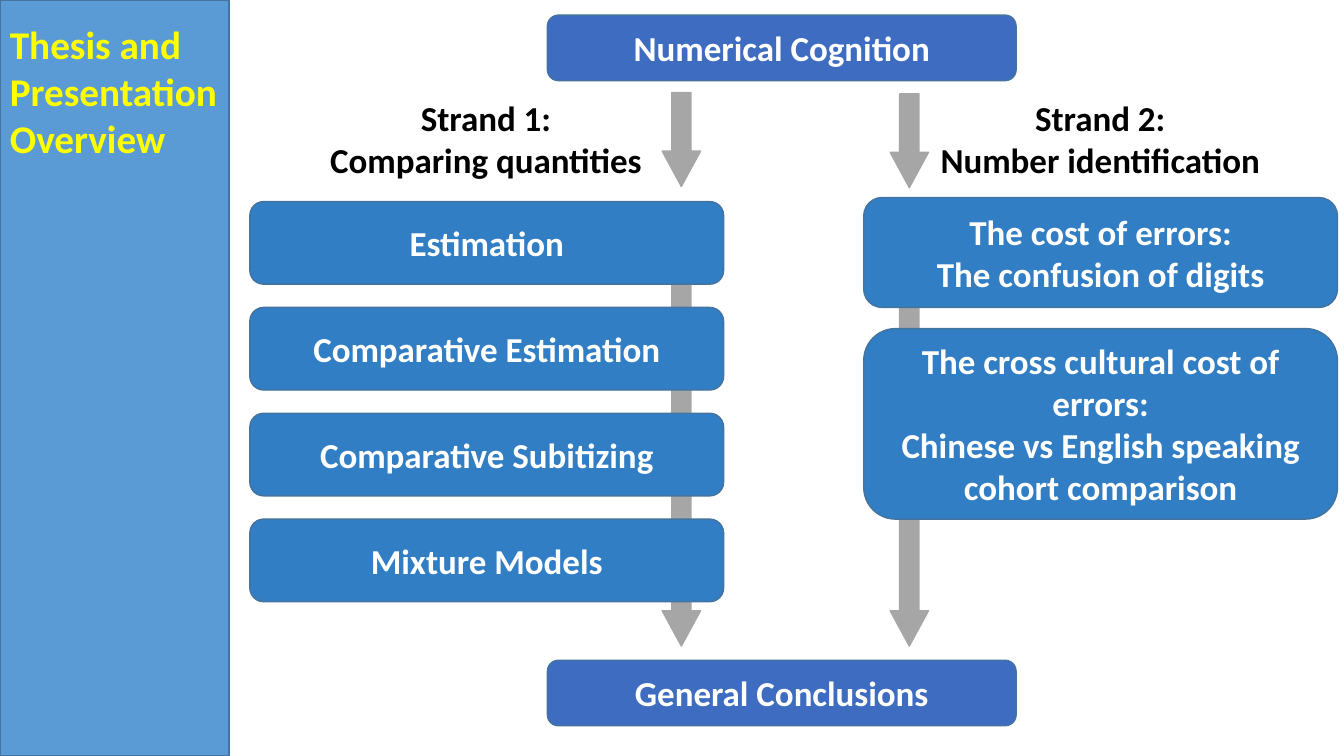
from pptx import Presentation
from pptx.dml.color import RGBColor
from pptx.enum.shapes import MSO_SHAPE as Shape
from pptx.enum.text import MSO_ANCHOR as Anchor, PP_ALIGN as Align
from pptx.util import Pt

WHITE = RGBColor(0xFF, 0xFF, 0xFF)
BLACK = RGBColor(0, 0, 0)
YELLOW = RGBColor(0xFF, 0xFF, 0)
GREY = RGBColor(0xA6, 0xA6, 0xA6)
SIDEBAR = RGBColor(0x5B, 0x9B, 0xD5)
OUTLINE = RGBColor(0x43, 0x73, 0x9E)
INDIGO = RGBColor(0x3D, 0x6C, 0xC1)
BLUE = RGBColor(0x32, 0x7E, 0xC4)

TITLE = ["Thesis and\vPresentation\vOverview"]
STRANDS = [
    (["Strand 1:", "Comparing quantities"], 225.4, 243.4),
    (["Strand 2:", "Number identification"], 663.1, 245.5),
]
ENDS = [("Numerical Cognition", 10.8), ("General Conclusions", 471.6)]
QUANTITY_TOPICS = ["Estimation", "Comparative Estimation",
                   "Comparative Subitizing", "Mixture Models"]
NUMBER_TOPICS = [
    (["The cost of errors:", "The confusion of digits"], 141.1, 78.5),
    (["The cross cultural cost of errors:",
      "Chinese vs English speaking cohort comparison"], 234.7, 136.1),
]
LONG_ARROWS = [(635.8, 156.2, 305.3), (473, 197.3, 264.2)]
SHORT_ARROWS = [(635.8, 67, 67), (473, 66.2, 67)]
ARROW_WIDTH = 27.4
TOPIC_WIDTH, TOPIC_HEIGHT, TOPIC_TOP, TOPIC_STEP = 338.4, 59, 144, 76
LEFT_COLUMN, RIGHT_COLUMN = 178.5, 617
END_LEFT, END_WIDTH, END_HEIGHT = 391, 334.8, 46.8

deck = Presentation()
deck.slide_width, deck.slide_height = Pt(960), Pt(540)
page = deck.slides.add_slide(deck.slide_layouts[6])


def write(box, lines, size, color, align):
    frame = box.text_frame
    frame.text = "\n".join(lines)
    style = {"name": "Calibri", "size": Pt(size), "bold": True}
    for para in frame.paragraphs:
        para.alignment = align
        for span in para.runs:
            for key, value in style.items():
                setattr(span.font, key, value)
            span.font.color.rgb = color


def add_block(kind, bounds, fill, line=OUTLINE, lines=()):
    block = page.shapes.add_shape(kind, *map(Pt, bounds))
    block.shadow.inherit = False
    block.fill.solid()
    block.fill.fore_color.rgb = fill
    block.line.color.rgb = line
    block.line.width = Pt(1)
    if lines:
        block.text_frame.word_wrap = True
        block.text_frame.vertical_anchor = Anchor.MIDDLE
        write(block, lines, 25, WHITE, Align.CENTER)
    return block


def add_label(lines, bounds, size, color, align):
    label = page.shapes.add_textbox(*map(Pt, bounds))
    label.text_frame.word_wrap = False
    write(label, lines, size, color, align)


def add_arrows(arrows):
    for left, top, height in arrows:
        arrow = add_block(Shape.DOWN_ARROW, (left, top, ARROW_WIDTH, height), GREY, GREY)
        arrow.adjustments[0] = 0.5
        arrow.adjustments[1] = 0.92


add_arrows(LONG_ARROWS)
add_block(Shape.RECTANGLE, (0, 0, 163.5, 540), SIDEBAR)
add_label(TITLE, (0, 10.8, 164, 143.3), 28, YELLOW, Align.LEFT)
for lines, left, width in STRANDS:
    add_label(lines, (left, 65.5, width, 67.7), 25, BLACK, Align.CENTER)

for name, top in ENDS:
    add_block(Shape.ROUNDED_RECTANGLE, (END_LEFT, top, END_WIDTH, END_HEIGHT),
              INDIGO, lines=[name])
for index, topic in enumerate(QUANTITY_TOPICS):
    top = TOPIC_TOP + index * TOPIC_STEP - index * 0.4
    add_block(Shape.ROUNDED_RECTANGLE, (LEFT_COLUMN, top, TOPIC_WIDTH, TOPIC_HEIGHT),
              BLUE, lines=[topic])
for lines, top, height in NUMBER_TOPICS:
    add_block(Shape.ROUNDED_RECTANGLE, (RIGHT_COLUMN, top, TOPIC_WIDTH, height),
              BLUE, lines=lines)
add_arrows(SHORT_ARROWS)

deck.save("out.pptx")
